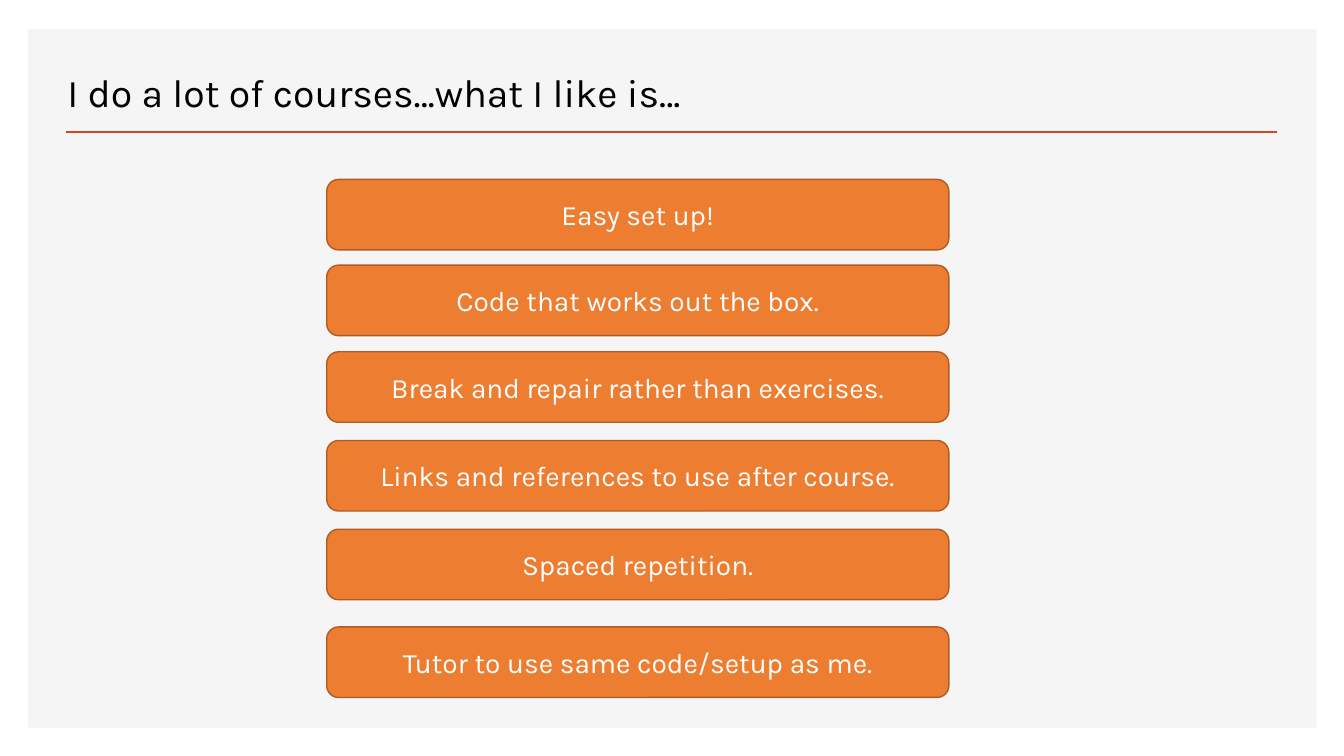
from lxml.etree import SubElement
from pptx import Presentation
from pptx.dml.color import RGBColor
from pptx.enum.shapes import MSO_CONNECTOR, MSO_SHAPE
from pptx.enum.text import MSO_ANCHOR, PP_ALIGN
from pptx.oxml.ns import qn
from pptx.util import Inches, Pt

WIDE, HIGH = Inches(13.33), Inches(7.5)


def tint(code):
    return RGBColor.from_string(code)


class Deck:
    font = "Karla"
    panel = "F5F5F5"
    rule = "D24726"
    bar = "ED7D31"
    edge = "AF5C24"
    ink = "000000"
    light = "FFFFFF"

    def __init__(self):
        self.file = Presentation()
        self.file.slide_width, self.file.slide_height = WIDE, HIGH
        self.slide = self.file.slides.add_slide(self.file.slide_layouts[6])

    def place(self, left, top, width, height):
        return [round(size * share / 100) for size, share in
                zip((WIDE, HIGH, WIDE, HIGH), (left, top, width, height))]

    def set_text(self, shape, text, size, color, align, anchor):
        frame = shape.text_frame
        frame.word_wrap = True
        frame.vertical_anchor = anchor
        line = frame.paragraphs[0]
        line.alignment = align
        run = line.add_run()
        run.text = text
        run.font.color.rgb = tint(color)
        for name, value in {"name": self.font, "size": Pt(size)}.items():
            setattr(run.font, name, value)

    def add_box(self, kind, spot, fill, edge=None):
        shape = self.slide.shapes.add_shape(kind, *self.place(*spot))
        shape.shadow.inherit = False
        shape.fill.solid()
        shape.fill.fore_color.rgb = tint(fill)
        if edge:
            shape.line.color.rgb = tint(edge)
            shape.line.width = Pt(1)
        else:
            shape.line.fill.background()
        return shape

    def add_panel(self, *spot):
        self.add_box(MSO_SHAPE.RECTANGLE, spot, self.panel)

    def add_rule(self, left, right, top):
        start, level, end, _ = self.place(left, top, right, top)
        line = self.slide.shapes.add_connector(
            MSO_CONNECTOR.STRAIGHT, start, level, end, level)
        line.line.color.rgb = tint(self.rule)
        line.line.width = Pt(2)
        SubElement(line._element.spPr, qn("a:effectLst"))

    def add_title(self, text, *spot):
        box = self.slide.shapes.add_textbox(*self.place(*spot))
        self.set_text(box, text, 28, self.ink, PP_ALIGN.LEFT, MSO_ANCHOR.BOTTOM)

    def add_bar(self, text, *spot):
        bar = self.add_box(MSO_SHAPE.ROUNDED_RECTANGLE, spot, self.bar, self.edge)
        self.set_text(bar, text, 20, self.light, PP_ALIGN.CENTER, MSO_ANCHOR.MIDDLE)


def main():
    deck = Deck()
    deck.add_panel(2.1, 3.87, 95.87, 92.4)
    deck.add_rule(4.95, 95.05, 17.47)
    deck.add_title("I do a lot of courses…what I like is…", 4.28, 6.53, 56.41, 9.33)
    likes = {
        "Easy set up!": 23.73,
        "Code that works out the box.": 35.07,
        "Break and repair rather than exercises.": 46.53,
        "Links and references to use after course.": 58.27,
        "Spaced repetition.": 70,
        "Tutor to use same code/setup as me.": 82.93,
    }
    for text, top in likes.items():
        deck.add_bar(text, 24.31, top, 46.29, 9.33)
    deck.file.save("out.pptx")


if __name__ == "__main__":
    main()
